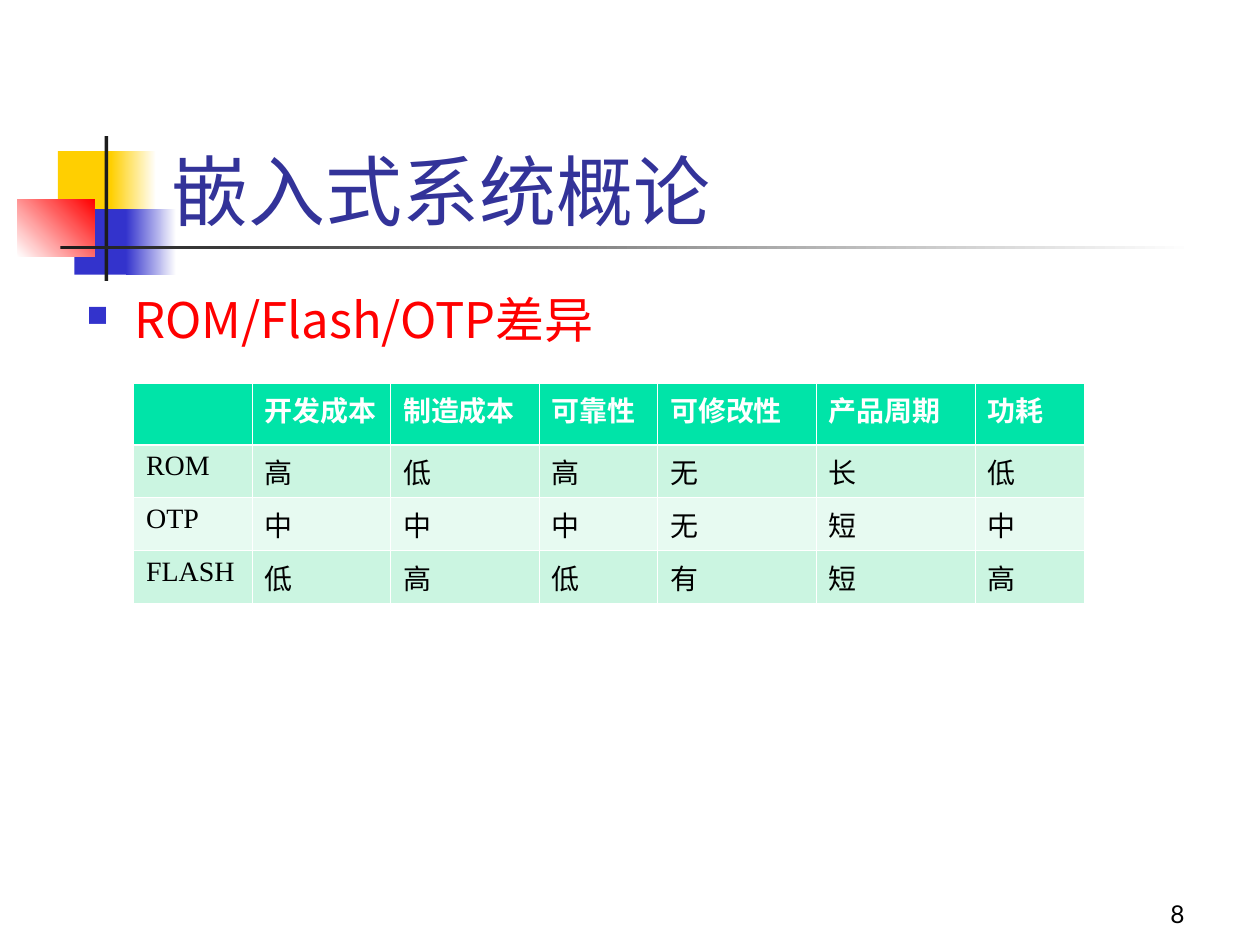
from lxml import etree
from pptx import Presentation
from pptx.dml.color import RGBColor
from pptx.enum.shapes import MSO_SHAPE
from pptx.enum.text import MSO_ANCHOR, PP_ALIGN
from pptx.oxml.ns import qn
from pptx.util import Inches, Pt

RECTANGLE = MSO_SHAPE.RECTANGLE
TOP, BOTTOM = MSO_ANCHOR.TOP, MSO_ANCHOR.BOTTOM
LEFT, RIGHT = PP_ALIGN.LEFT, PP_ALIGN.RIGHT

WIDTH, HEIGHT = Inches(10), Inches(7.5)
CJK = "Noto Sans CJK SC"
YELLOW, BLUE, RED = "FFCF01", "3333CC", "FF0000"
WHITE, BLACK, CHARCOAL = "FFFFFF", "000000", "1C1C1C"

# Left, top, width, height in percent of the slide; colours; gradient angle
ORNAMENT = [
    ((4.6, 16, 4.8, 6.93), [YELLOW], 0),
    ((8.8, 16, 3.6, 6.93), [YELLOW, WHITE], 0),
    ((5.9, 22.13, 4.6, 6.93), [BLUE], 0),
    ((10, 22.13, 4, 6.93), [BLUE, WHITE], 0),
    ((1.4, 21.07, 6.1, 6.13), [WHITE, RED], 45),
    ((8.3, 14.4, 0.3, 15.33), [CHARCOAL], 0),
    ((4.8, 26, 90, 0.4), [CHARCOAL, WHITE], 0),
]
COMPARISON = [
    ["", "开发成本", "制造成本", "可靠性", "可修改性", "产品周期", "功耗"],
    ["ROM", "高", "低", "高", "无", "长", "低"],
    ["OTP", "中", "中", "中", "无", "短", "中"],
    ["FLASH", "低", "高", "低", "有", "短", "高"],
]
COLUMN_SHARES = [9.4, 11, 11.8, 9.4, 12.6, 12.6, 8.7]
ROW_SHARES = [6.53, 5.6, 5.6, 5.6]
ROW_FILLS = ["00E4A8", "CBF5E1", "E7FAF1", "CBF5E1"]


def across(share):
    return round(WIDTH * share / 100)


def down(share):
    return round(HEIGHT * share / 100)


def area(left, top, width, height):
    return across(left), down(top), across(width), down(height)


def rgb(value):
    return RGBColor.from_string(value)


def add_block(slide, bounds, colours, angle):
    """Add a borderless rectangle, plain or fading between two colours."""
    block = slide.shapes.add_shape(RECTANGLE, *area(*bounds))
    block.shadow.inherit = False
    block.line.fill.background()
    if len(colours) == 1:
        block.fill.solid()
        block.fill.fore_color.rgb = rgb(colours[0])
        return
    block.fill.gradient()
    block.fill.gradient_angle = angle
    for stop, colour in zip(block.fill.gradient_stops, colours):
        stop.color.rgb = rgb(colour)


def write(paragraph, text, colour, east_asian=CJK, **formats):
    run = paragraph.add_run()
    run.text = text
    for name, value in formats.items():
        setattr(run.font, name, value)
    run.font.color.rgb = rgb(colour)
    etree.SubElement(run.font._element, qn("a:ea"), typeface=east_asian)


def add_text(slide, bounds, anchor=TOP, alignment=LEFT):
    """Add an empty wrapping text box and return its first paragraph."""
    frame = slide.shapes.add_textbox(*area(*bounds)).text_frame
    frame.word_wrap = True
    frame.vertical_anchor = anchor
    paragraph = frame.paragraphs[0]
    paragraph.alignment = alignment
    return paragraph


def add_bullet(paragraph, colour):
    properties = paragraph._p.get_or_add_pPr()
    properties.set("marL", str(Inches(0.38)))
    properties.set("indent", str(-Inches(0.38)))
    bullet_colour = etree.SubElement(properties, qn("a:buClr"))
    etree.SubElement(bullet_colour, qn("a:srgbClr"), val=colour)
    etree.SubElement(properties, qn("a:buSzPct"), val="60000")
    etree.SubElement(properties, qn("a:buChar"), char="■")


def add_border(cell, side, points):
    line = etree.SubElement(cell._tc.get_or_add_tcPr(), qn(f"a:ln{side}"),
                            w=str(Pt(points)))
    fill = etree.SubElement(line, qn("a:solidFill"))
    etree.SubElement(fill, qn("a:srgbClr"), val=WHITE)


def add_comparison(slide, left, top):
    bounds = area(left, top, sum(COLUMN_SHARES), sum(ROW_SHARES))
    table = slide.shapes.add_table(
        len(ROW_SHARES), len(COLUMN_SHARES), *bounds).table
    for column, share in zip(table.columns, COLUMN_SHARES):
        column.width = across(share)
    for index, (row, share) in enumerate(zip(table.rows, ROW_SHARES)):
        row.height = down(share)
        header = index == 0
        for cell, text in zip(row.cells, COMPARISON[index]):
            borders = {"L": 0.45, "R": 0.45,
                       "T": 1.47 if index == 1 else 0.45,
                       "B": 1.47 if header else 0.45}
            for side, points in borders.items():
                add_border(cell, side, points)
            cell.fill.solid()
            cell.fill.fore_color.rgb = rgb(ROW_FILLS[index])
            if text:
                write(cell.text_frame.paragraphs[0], text,
                      WHITE if header else BLACK, size=Pt(16),
                      name="Times New Roman", bold=header)


def main():
    deck = Presentation()
    deck.slide_width, deck.slide_height = WIDTH, HEIGHT
    slide = deck.slides.add_slide(deck.slide_layouts[6])
    for bounds, colours, angle in ORNAMENT:
        add_block(slide, bounds, colours, angle)

    title = add_text(slide, (12.6, 8.93, 85.2, 16.67), BOTTOM)
    write(title, "嵌入式系统概论", "333399", size=Pt(44), name=CJK)

    topic = add_text(slide, (5.9, 30, 92, 59.33))
    add_bullet(topic, BLUE)
    write(topic, "ROM/Flash/OTP差异", RED, size=Pt(28), name=CJK)

    page_number = add_text(slide, (74.2, 92.27, 20.8, 6.67), BOTTOM, RIGHT)
    write(page_number, "8", BLACK, size=Pt(14), name="Lato")

    add_comparison(slide, 10.6, 40.53)
    deck.save("out.pptx")


if __name__ == "__main__":
    main()
